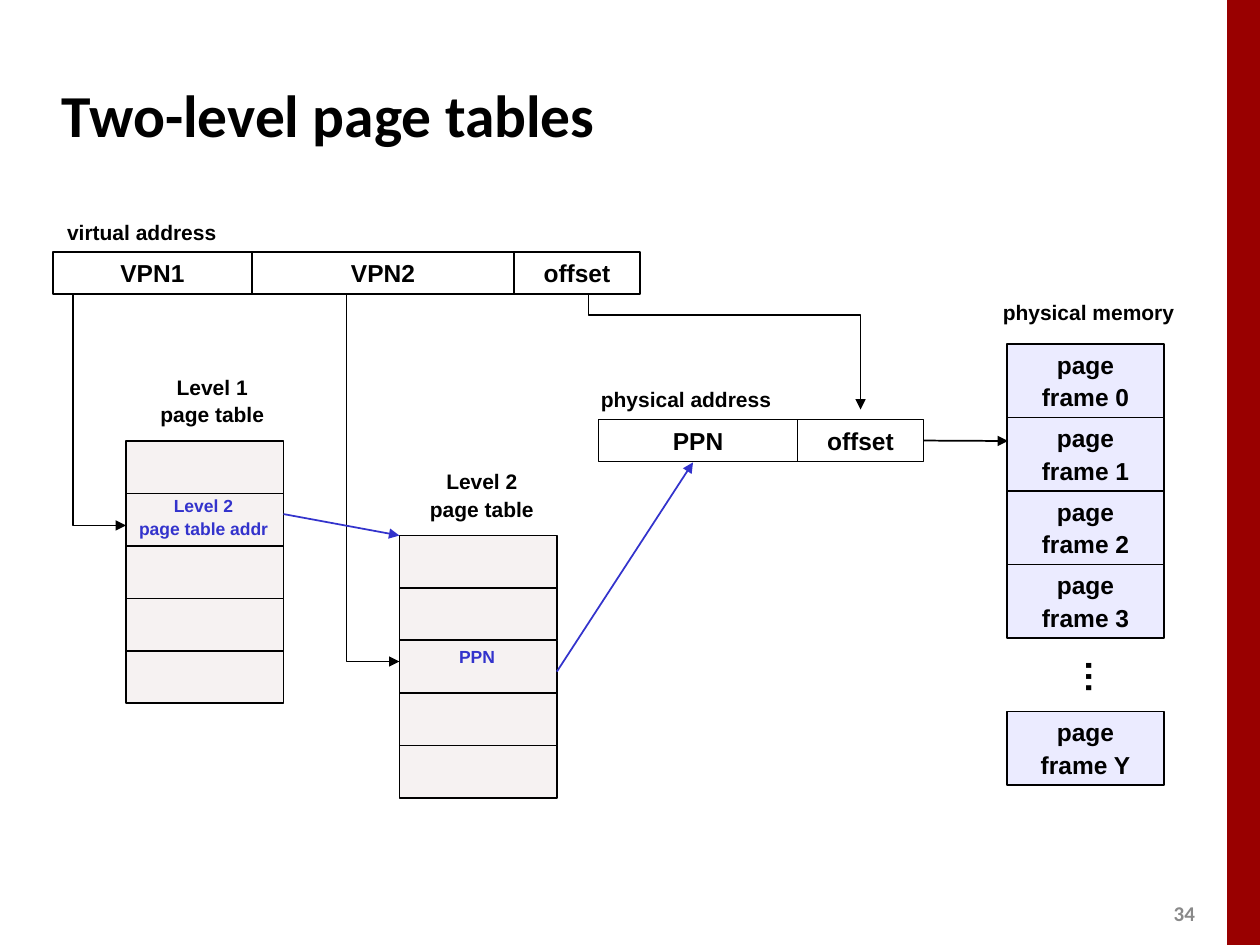
from dataclasses import dataclass

from lxml.etree import SubElement
from pptx import Presentation
from pptx.dml.color import RGBColor
from pptx.enum.shapes import MSO_CONNECTOR, MSO_SHAPE
from pptx.enum.text import MSO_ANCHOR, PP_ALIGN
from pptx.oxml.ns import qn
from pptx.util import Inches, Pt


@dataclass(frozen=True)
class Theme:
    ink: str = "000000"
    accent: str = "3333CC"
    side_bar: str = "990000"
    frame_fill: str = "EBEBFF"
    entry_fill: str = "F6F2F2"
    page_number: str = "898989"
    title_font: str = "Calibri"
    body_font: str = "Arial"
    title_size: int = 34
    dots_size: int = 20
    cell_size: int = 14
    label_size: int = 12
    entry_size: int = 10
    line_width: int = 1


class Diagram:
    def __init__(self, slide, theme):
        self.slide = slide
        self.theme = theme

    def set_text(self, frame, text, size, color=None, font=None,
                 align=PP_ALIGN.CENTER, anchor=MSO_ANCHOR.MIDDLE, lead=0.12):
        """Fill a text frame; lead is the space before a line, as a share of the size."""
        frame.text = text
        frame.word_wrap = False
        frame.vertical_anchor = anchor
        for paragraph in frame.paragraphs:
            paragraph.alignment = align
            paragraph.space_before = Pt(size * lead)
            for run in paragraph.runs:
                run.font.size = Pt(size)
                run.font.bold = True
                run.font.name = font or self.theme.body_font
                run.font.color.rgb = RGBColor.from_string(color or self.theme.ink)

    def title(self, text, left, top, width, height):
        title = self.slide.shapes.title
        title.left, title.top = Inches(left), Inches(top)
        title.width, title.height = Inches(width), Inches(height)
        self.set_text(title.text_frame, text, self.theme.title_size,
                      font=self.theme.title_font, align=PP_ALIGN.LEFT, lead=0)

    def label(self, text, left, top, width, height, size=None, rotation=0, **style):
        label = self.slide.shapes.add_textbox(
            Inches(left), Inches(top), Inches(width), Inches(height))
        label.rotation = rotation
        style = {"anchor": MSO_ANCHOR.TOP, **style}
        self.set_text(label.text_frame, text, size or self.theme.label_size, **style)

    def box(self, left, top, width, height, text="", fill=None, outlined=True):
        box = self.slide.shapes.add_shape(
            MSO_SHAPE.RECTANGLE, Inches(left), Inches(top), Inches(width), Inches(height))
        box.shadow.inherit = False
        if fill:
            box.fill.solid()
            box.fill.fore_color.rgb = RGBColor.from_string(fill)
        else:
            box.fill.background()
        if outlined:
            self.stroke(box.line, self.theme.ink)
        else:
            box.line.fill.background()
        if text:
            self.set_text(box.text_frame, text, self.theme.cell_size)
        return box

    def address(self, left, top, fields):
        """Lay address fields side by side and return the last one."""
        for text, width in fields:
            field = self.box(left, top, width, 1 / 3, text)
            left += width
        return field

    def page_table(self, left, top, rows=5):
        row_height = 5 / 12
        for row in range(rows):
            self.box(left, top + row * row_height, 1.25, row_height,
                     fill=self.theme.entry_fill)

    def stroke(self, line, color, arrow=False):
        line.color.rgb = RGBColor.from_string(color)
        line.width = Pt(self.theme.line_width)
        if arrow:
            SubElement(line._get_or_add_ln(), qn("a:tailEnd"), type="triangle")

    def arrow(self, start, end, color, source=None):
        arrow = self.slide.shapes.add_connector(
            MSO_CONNECTOR.STRAIGHT, *map(Inches, start + end))
        if source is not None:
            arrow.begin_connect(source, 3)
        self.stroke(arrow.line, color, arrow=True)
        SubElement(arrow._element.spPr, qn("a:effectLst"))

    def bent_arrow(self, *points):
        start, *corners = [(Inches(x), Inches(y)) for x, y in points]
        builder = self.slide.shapes.build_freeform(*start)
        builder.add_line_segments(corners, close=False)
        route = builder.convert_to_shape()
        route.shadow.inherit = False
        route.fill.background()
        self.stroke(route.line, self.theme.ink, arrow=True)


def main():
    theme = Theme()
    deck = Presentation()
    deck.slide_width, deck.slide_height = Inches(10), Inches(7.5)
    diagram = Diagram(deck.slides.add_slide(deck.slide_layouts[5]), theme)

    diagram.box(9.74, 0, 0.26, 7.5, fill=theme.side_bar, outlined=False)
    diagram.label("34", 9.2, 7.1, 0.4, 0.3, color=theme.page_number,
                  font=theme.title_font, anchor=MSO_ANCHOR.MIDDLE, lead=0)
    diagram.title("Two-level page tables", 0.39, 0.49, 8.3, 0.83)

    # Physical memory: slot 4 holds the dots
    diagram.label("physical memory", 7.86, 2.33, 1.56, 0.3)
    frame_height = 7 / 12
    for slot, number in enumerate(["0", "1", "2", "3", None, "Y"]):
        if number:
            diagram.box(7.99, 2.73 + slot * frame_height, 1.25, frame_height,
                        f"page\nframe {number}", theme.frame_fill)
    diagram.label("…", 8.31, 5.16, 0.48, 0.43, theme.dots_size, rotation=270)

    # Addresses
    diagram.label("virtual address", 0.43, 1.69, 1.39, 0.3)
    diagram.address(0.42, 2, [("VPN1", 1.58), ("VPN2", 2.08), ("offset", 1)])
    diagram.label("physical address", 4.67, 3.02, 1.55, 0.3)
    physical_offset = diagram.address(4.75, 3.33, [("PPN", 1.58), ("offset", 1)])

    # Page tables
    diagram.label("Level 1\npage table", 1.17, 2.92, 1.03, 0.52)
    diagram.page_table(1, 3.5)
    diagram.label("Level 2\npage table addr", 1, 3.88, 1.23, 0.45,
                  theme.entry_size, color=theme.accent)
    diagram.label("Level 2\npage table", 3.31, 3.67, 1.03, 0.53)
    diagram.page_table(3.17, 4.25)
    diagram.label("PPN", 3.54, 5.08, 0.49, 0.27, theme.entry_size, color=theme.accent)

    # Translation steps
    diagram.bent_arrow((0.58, 2.33), (0.58, 4.17), (1, 4.17))
    diagram.bent_arrow((2.75, 2.33), (2.75, 5.25), (3.17, 5.25))
    diagram.bent_arrow((4.67, 2.33), (4.67, 2.5), (6.83, 2.5), (6.83, 3.25))
    diagram.arrow((2.25, 4.08), (3.17, 4.25), theme.accent)
    diagram.arrow((4.42, 5.33), (5.5, 3.67), theme.accent)
    diagram.arrow((7.33, 3.5), (8, 3.5), theme.ink, source=physical_offset)

    deck.save("out.pptx")


if __name__ == "__main__":
    main()
